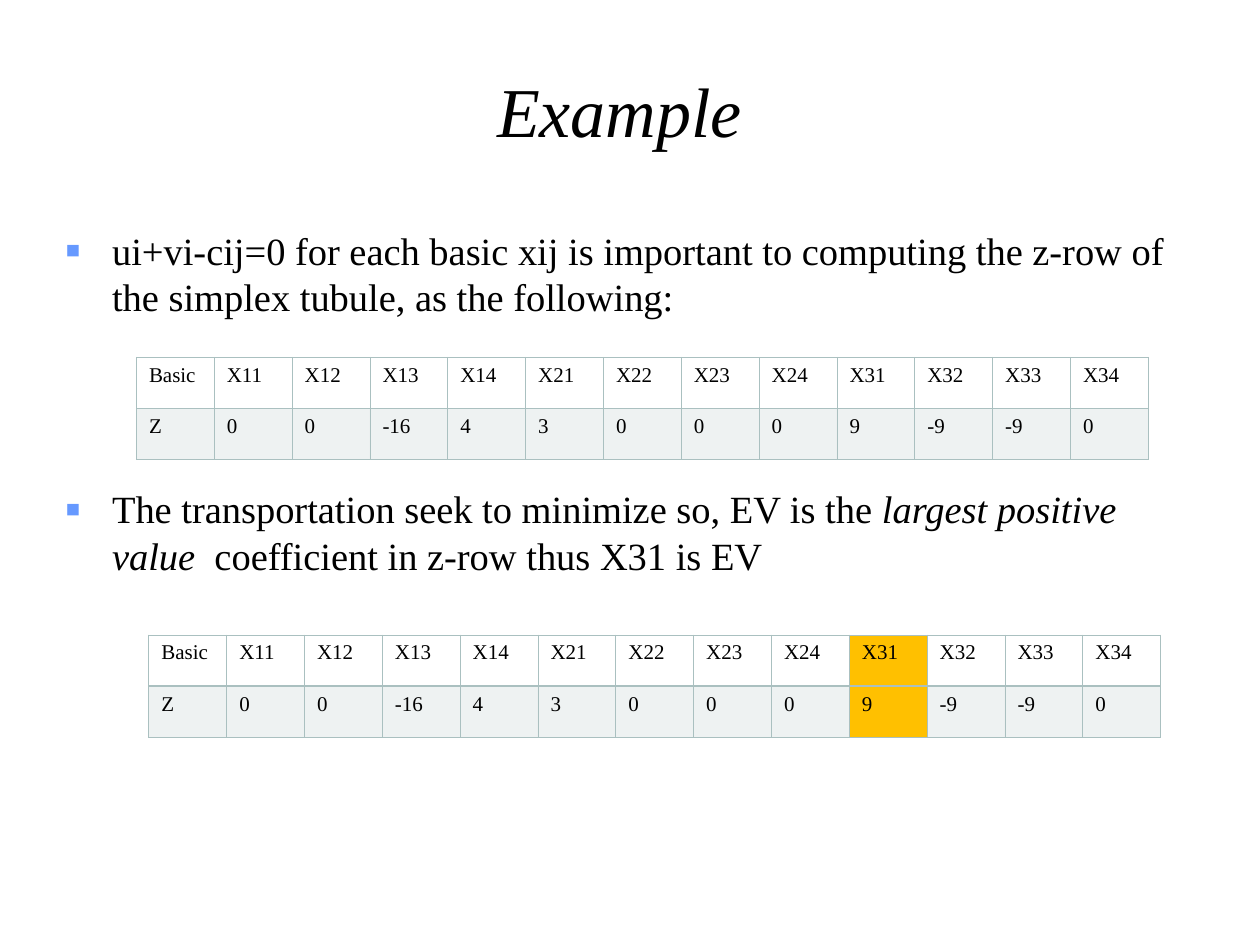
from dataclasses import dataclass
from typing import Any

from lxml import etree
from pptx import Presentation, util as u
from pptx.dml.color import RGBColor
from pptx.enum import text
from pptx.oxml import ns

BLACK = RGBColor(0x00, 0x00, 0x00)
BLUE = RGBColor(0x66, 0x99, 0xFF)
SAGE = RGBColor(0xAA, 0xC0, 0xC0)
GOLD = RGBColor(0xFF, 0xC0, 0x00)
FACE = "Times New Roman"
PLAIN = "{2D5ABB26-0587-4C30-8999-92F81FD0307C}"
THIN, THICK = 0.45, 0.96
HEADS = ["Basic"] + [f"X{i}{j}" for i in range(1, 4) for j in range(1, 5)]
COSTS = ["Z", "0", "0", "-16", "4", "3", "0", "0", "0", "9", "-9", "-9", "0"]


@dataclass
class Box:
    left: float
    top: float
    width: float
    height: float


@dataclass
class Grid:
    left: float
    top: float
    mark: str = ""


@dataclass
class Point:
    runs: list[tuple[str, bool]]
    gap: float = 0


GRIDS = [Grid(2.75, 7.2), Grid(3, 12.8, "X31")]
POINTS = [
    Point([("ui+vi-cij=0 for each basic xij is important to computing the z-row "
            "of the simplex tubule, as the following:", False)]),
    Point([("The transportation seek to minimize so, EV is the ", False),
           ("largest positive value  ", True),
           ("coefficient in z-row thus X31 is EV", False)], 95),
]


def style(item: Any, form: dict[str, Any]) -> None:
    for key, val in form.items():
        setattr(item, key, val)


def node(root: Any, tag: str, **form: Any) -> Any:
    return etree.SubElement(root, ns.qn(tag), {k: str(v) for k, v in form.items()})


def write(para: Any, words: str, size: float, slant: bool = False) -> None:
    run = para.add_run()
    run.text = words
    style(run.font, {"name": FACE, "size": u.Pt(size), "italic": slant, "bold": False})
    run.font.color.rgb = BLACK


def frame(slide: Any, box: Box, anchor: Any) -> Any:
    shape = slide.shapes.add_textbox(
        u.Cm(box.left), u.Cm(box.top), u.Cm(box.width), u.Cm(box.height))
    style(shape.text_frame, {"word_wrap": True, "vertical_anchor": anchor})
    return shape.text_frame


def bullet(para: Any) -> None:
    props = para._p.get_or_add_pPr()
    style_in = u.Cm(0.95)
    props.set("marL", str(style_in))
    props.set("indent", str(-style_in))
    node(node(props, "a:buClr"), "a:srgbClr", val=BLUE)
    node(props, "a:buSzPct", val=120000)
    node(props, "a:buFont", typeface=FACE)
    node(props, "a:buChar", char="▪")


def edge(cell: Any, row: int) -> None:
    props = cell._tc.get_or_add_tcPr()
    sides = {"L": THIN, "R": THIN,
             "T": THICK if row else THIN, "B": THIN if row else THICK}
    for side, width in sides.items():
        line = node(props, f"a:ln{side}", w=u.Pt(width))
        node(node(line, "a:solidFill"), "a:srgbClr", val=SAGE)


def paint(cell: Any, row: int, hot: bool) -> None:
    if not (row or hot):
        cell.fill.background()
        return
    cell.fill.solid()
    cell.fill.fore_color.rgb = GOLD if hot else SAGE
    if not hot:
        tint = cell._tc.tcPr.find(f"{ns.qn('a:solidFill')}/{ns.qn('a:srgbClr')}")
        node(tint, "a:alpha", val=20000)


def draw(slide: Any, grid: Grid) -> None:
    rows = [HEADS, COSTS]
    table = slide.shapes.add_table(
        len(rows), len(HEADS), u.Cm(grid.left), u.Cm(grid.top),
        u.Cm(20.4), u.Cm(2.06)).table
    style(table, {"first_row": False, "horz_banding": False})
    table._tbl.tblPr.find(ns.qn("a:tableStyleId")).text = PLAIN
    for i, row in enumerate(rows):
        for j, words in enumerate(row):
            cell = table.cell(i, j)
            write(cell.text_frame.paragraphs[0], words, 12)
            edge(cell, i)
            paint(cell, i, HEADS[j] == grid.mark)


def main() -> None:
    deck = Presentation()
    style(deck, {"slide_width": u.Cm(25.4), "slide_height": u.Cm(19.05)})
    slide = deck.slides.add_slide(deck.slide_layouts[6])

    title = frame(slide, Box(2.75, 0.64, 19.48, 2.54), text.MSO_ANCHOR.BOTTOM)
    head = title.paragraphs[0]
    head.alignment = text.PP_ALIGN.CENTER
    write(head, "Example", 40, True)

    body = frame(slide, Box(1.06, 4.45, 22.86, 11.23), text.MSO_ANCHOR.TOP)
    for i, point in enumerate(POINTS):
        para = body.add_paragraph() if i else body.paragraphs[0]
        bullet(para)
        para.space_before = u.Pt(point.gap)
        for words, slant in point.runs:
            write(para, words, 22, slant)

    for grid in GRIDS:
        draw(slide, grid)
    deck.save("out.pptx")


if __name__ == "__main__":
    main()
